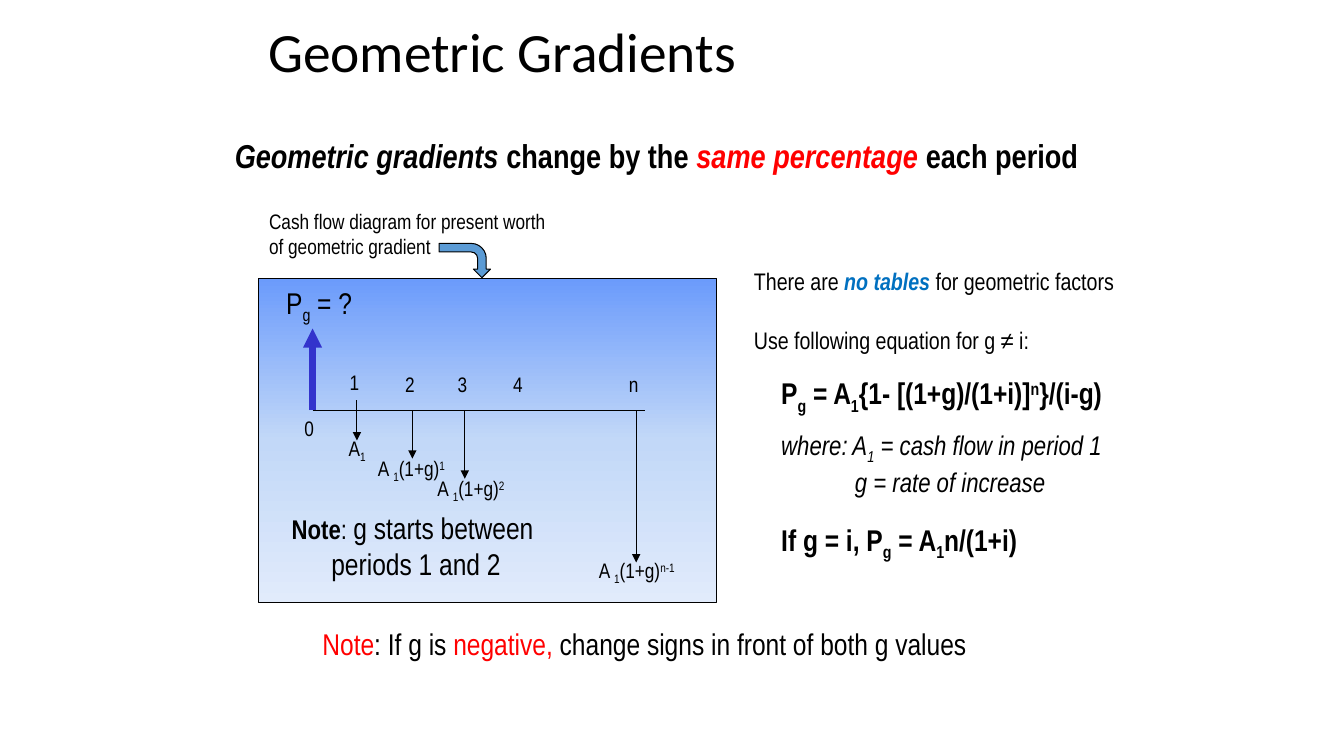
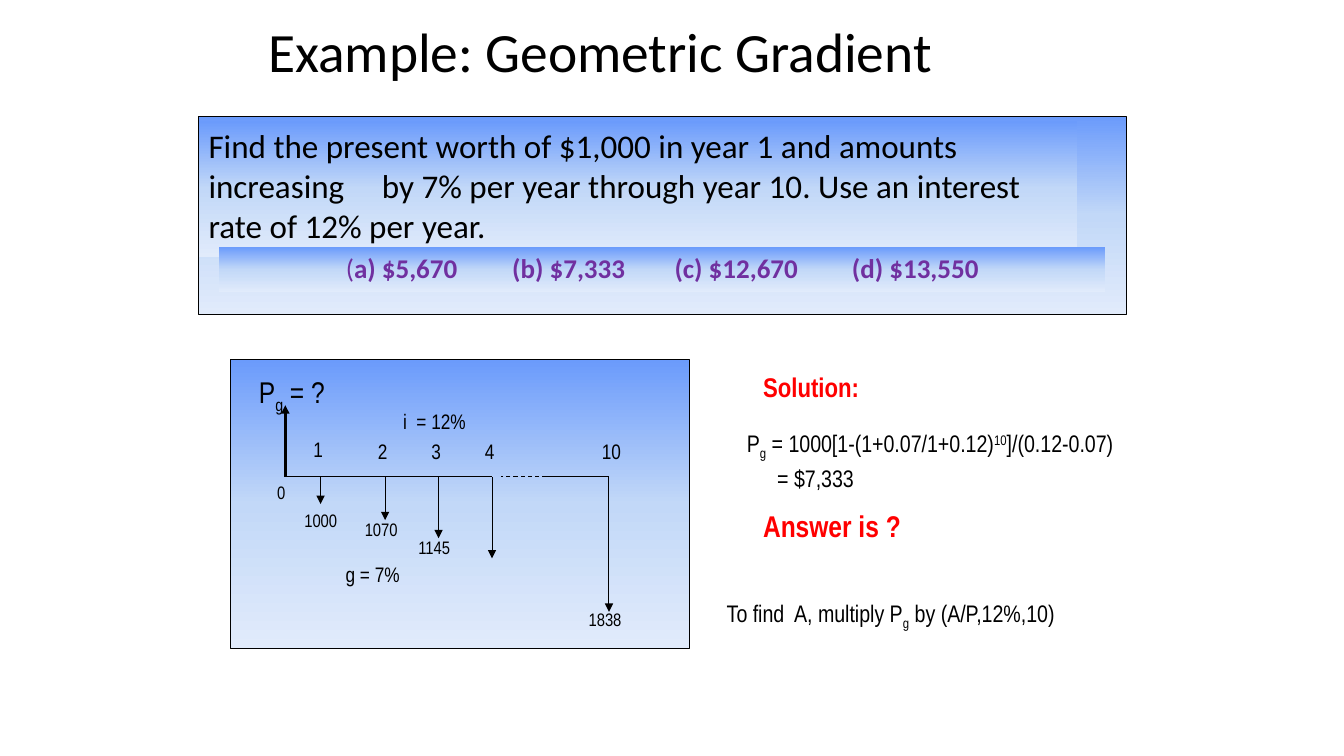
import copy
from dataclasses import dataclass

import pptx
import pptx.dml.color
import pptx.enum.dml
import pptx.enum.shapes
import pptx.enum.text
import pptx.oxml
import pptx.oxml.ns
import pptx.util

Inches = pptx.util.Inches
Pt = pptx.util.Pt
qn = pptx.oxml.ns.qn
RECT = pptx.enum.shapes.MSO_SHAPE.RECTANGLE
ALIGN = pptx.enum.text.PP_ALIGN
FIT = pptx.enum.text.MSO_AUTO_SIZE
ANCHOR = pptx.enum.text.MSO_ANCHOR


@dataclass(frozen=True)
class Theme:
    black: str = "000000"
    red: str = "FF0000"
    blue: str = "0070C0"
    purple: str = "7030A0"
    indigo: str = "3333CC"
    arrow: str = "5B9BD5"
    gradient: tuple = ((0, "6B9BFB"), (0.5, "C2D8F8"), (1, "E1EBFB"))
    heading: str = "Calibri"
    body: str = "Arial Narrow"
    title: float = 39.6
    lead: float = 23.6
    large: float = 21.4
    medium: float = 19.3
    text: float = 17.1
    label: float = 15
    small: float = 12.9
    hairline: float = 0.75


T = Theme()
SUB = {"base": -25}
SUP = {"base": 30}
PRESENT_WORTH = ["P", ("g", SUB), " = ?"]


@dataclass(frozen=True)
class Flow:
    period: str
    x: float
    drop: float = 0
    amount: tuple = ()
    amount_at: tuple = ()


def rgb(value):
    return pptx.dml.color.RGBColor.from_string(value)


def rich(p, segments, size, color=T.black, font=T.body, bold=False, italic=False):
    for segment in segments:
        text, style = (segment, {}) if isinstance(segment, str) else segment
        r = p.add_run()
        r.text = text
        r.font.name = font
        r.font.size = Pt(style.get("size", size))
        r.font.bold = style.get("bold", bold)
        r.font.italic = style.get("italic", italic)
        r.font.color.rgb = rgb(style.get("color", color))
        if "base" in style:
            r._r.get_or_add_rPr().set("baseline", str(style["base"] * 1000))


def add_tabs(p, stops):
    tabs = pptx.oxml.parse_xml(f'<a:tabLst {pptx.oxml.ns.nsdecls("a")}/>')
    for stop in stops:
        tab = tabs.makeelement(qn("a:tab"), {"pos": str(Inches(stop)), "algn": "l"})
        tabs.append(tab)
    p._p.get_or_add_pPr().append(tabs)


def add_text(s, box, *paragraphs, size=T.label, wrap=False, align=None, before=0, **style):
    sp = s.shapes.add_textbox(*map(Inches, box))
    tf = sp.text_frame
    tf.word_wrap = wrap
    tf.auto_size = FIT.SHAPE_TO_FIT_TEXT
    for i, segments in enumerate(paragraphs):
        p = tf.paragraphs[0] if i == 0 else tf.add_paragraph()
        p.alignment = align
        if i and before:
            p.space_before = Pt(before)
        rich(p, segments, size, **style)
    return tf


def add_line(s, start, end, color=T.black, width=T.hairline, arrow=False, dash=False):
    kind = pptx.enum.shapes.MSO_CONNECTOR.STRAIGHT
    sp = s.shapes.add_connector(kind, *map(Inches, (*start, *end)))
    sp.line.color.rgb = rgb(color)
    sp.line.width = Pt(width)
    if dash:
        sp.line.dash_style = pptx.enum.dml.MSO_LINE.DASH
    if arrow:
        ln = sp.line._get_or_add_ln()
        ln.append(ln.makeelement(qn("a:tailEnd"), {"type": "triangle"}))
    props = sp._element.spPr
    props.append(props.makeelement(qn("a:effectLst"), {}))


def add_panel(s, box, outline=True):
    sp = s.shapes.add_shape(RECT, *map(Inches, box))
    sp.shadow.inherit = False
    sp.fill.gradient()
    sp.fill.gradient_angle = 270
    stops = sp._element.spPr.find(".//" + qn("a:gsLst"))
    stops.insert(1, copy.deepcopy(stops[0]))
    for stop, (position, color) in zip(sp.fill.gradient_stops, T.gradient):
        stop.position = position
        stop.color.rgb = rgb(color)
    if outline:
        sp.line.color.rgb = rgb(T.black)
        sp.line.width = Pt(T.hairline)
    else:
        sp.line.fill.background()
    tf = sp.text_frame
    tf.word_wrap = True
    tf.vertical_anchor = ANCHOR.TOP
    tf.paragraphs[0].alignment = ALIGN.LEFT
    return tf


def add_slide(prs, title):
    s = prs.slides.add_slide(prs.slide_layouts[5])
    sp = s.shapes.title
    sp.left, sp.top, sp.width, sp.height = map(Inches, (2.56, 0.18, 8.2, 0.72))
    tf = sp.text_frame
    tf.text = title
    tf.auto_size = FIT.NONE
    tf.vertical_anchor = ANCHOR.MIDDLE
    p = tf.paragraphs[0]
    p.alignment = ALIGN.LEFT
    p.line_spacing = 0.9
    font = p.runs[0].font
    font.name, font.size = T.heading, Pt(T.title)
    font.color.rgb = rgb(T.black)
    return s


def cash_flow(s, box, axis, flows, segments, worth, zero_size, amount_size):
    left, top = box[:2]
    base = top + axis
    origin = left + 0.54
    worth_top, worth_length, worth_width, worth_color = worth
    add_panel(s, box)
    for start, end, dash in segments:
        add_line(s, (left + start, base), (left + end, base), dash=dash)
    add_line(s, (origin, base), (origin, base - worth_length),
             worth_color, worth_width, arrow=True)
    add_text(s, (left + 0.18, top + worth_top, 0.87, 0.46), PRESENT_WORTH, size=T.large)
    add_text(s, (left + 0.36, base, 0.3, 0.6), ["0"], size=zero_size)
    for i, flow in enumerate(flows):
        label_left = left + flow.x - 0.17
        label_top = base - (0.43 if i else 0.45)
        label_width = 0.3 if len(flow.period) == 1 else 0.39
        add_text(s, (label_left, label_top, label_width, 0.35), [flow.period])
        if flow.drop:
            x = left + flow.x
            add_line(s, (x, base), (x, base + flow.drop), arrow=True)
        if flow.amount:
            dx, dy, width = flow.amount_at
            add_text(s, (left + dx, base + dy, width, 0.35), flow.amount, size=amount_size)


def growth(power):
    return ("A ", ("1", SUB), "(1+g)", (power, SUP))


def equations(s, left, top):
    add_text(s, (left, top, 3.83, 0.97),
             ["There are ", ("no tables ", {"color": T.blue, "bold": True, "italic": True}),
              "for geometric factors"],
             ["Use following equation for g ≠ i:"], size=T.text, before=21)
    add_text(s, (left + 0.27, top + 1.07, 3.46, 0.46),
             ["P", ("g", SUB), " = A", ("1", SUB), "{1- [(1+g)/(1+i)]", ("n", SUP), "}/(i-g)"],
             size=T.large, bold=True)
    tf = add_text(s, (left + 0.27, top + 1.6, 3.41, 1.36),
                  ["where: A", ("1", SUB), " = cash flow in period 1"],
                  ["g = rate of increase"], size=T.medium, italic=True)
    tf.paragraphs[1]._p.get_or_add_pPr().set("marL", str(Inches(0.73)))
    p = tf.add_paragraph()
    p.space_before = Pt(17)
    rich(p, ["If g = i, P", ("g", SUB), " = A", ("1", SUB), "n/(1+i)"], T.large, bold=True)


def diagram_caption(s, left, top):
    add_text(s, (left, top, 3.02, 0.61),
             ["Cash flow diagram for present worth"], ["of geometric gradient"])
    sp = s.shapes.add_shape(pptx.enum.shapes.MSO_SHAPE.BENT_ARROW,
                            *map(Inches, (left + 1.87, top + 0.31, 0.34, 0.51)))
    sp.rotation = 90
    sp.shadow.inherit = False
    sp.fill.solid()
    sp.fill.fore_color.rgb = rgb(T.arrow)
    sp.line.color.rgb = rgb(T.black)
    sp.line.width = Pt(T.hairline)


def gradients_slide(prs):
    s = add_slide(prs, "Geometric Gradients")
    add_text(s, (2.23, 1.29, 8.92, 0.5),
             [("Geometric gradients", {"italic": True}), " change by the ",
              ("same percentage", {"color": T.red, "italic": True}), " each period"],
             size=T.lead, bold=True, wrap=True)
    box = left, top, _, _ = (2.56, 2.76, 4.55, 3.22)
    flows = [
        Flow("1", 0.98, 0.3, ("A", ("1", SUB)), (0.8, 0.2, 0.38)),
        Flow("2", 1.53, 0.48, growth("1"), (1.09, 0.4, 0.89)),
        Flow("3", 2.05, 0.68, growth("2"), (1.68, 0.6, 0.89)),
        Flow("4", 2.6),
        Flow("n", 3.75, 1.51, growth("n-1"), (3.28, 1.41, 0.99)),
    ]
    cash_flow(s, box, 1.31, flows, [(0.54, 3.84, False)],
              (0.01, 0.81, 4.5, T.indigo), T.label, T.label)
    add_line(s, (left + 0.98, top + 1.21), (left + 0.98, top + 1.41))
    add_text(s, (left + 0.22, top + 2.25, 2.69, 0.82),
             [("Note", {"size": T.medium, "bold": True}), (": ", {"size": T.medium}),
              "g starts between "],
             ["periods 1 and 2"], size=T.large, wrap=True, align=ALIGN.CENTER)
    diagram_caption(s, 2.57, 2.02)
    equations(s, 7.38, 2.6)
    add_text(s, (3.1, 6.16, 6.96, 0.46),
             [("Note", {"color": T.red}), ": If g is ", ("negative, ", {"color": T.red}),
              "change signs in front of both g values"], size=T.large, wrap=True)


def question(s, left, top):
    add_panel(s, (left, top, 9.2, 1.96))
    tf = add_panel(s, (left, top + 0.04, 8.71, 1.35), outline=False)
    p = tf.paragraphs[0]
    add_tabs(p, [1.72])
    rich(p, ["Find the present worth of $1,000 in year 1 and amounts increasing\tby 7% "
             "per year through year 10. Use an interest rate of 12% per year."],
         T.lead, font=T.heading)
    tf = add_panel(s, (left + 0.2, top + 1.29, 8.79, 0.45), outline=False)
    tf.margin_left = Inches(1.26)
    p = tf.paragraphs[0]
    add_tabs(p, [1.65, 3.26, 5.02])
    rich(p, [("(", {"bold": False}), "a) $5,670\t(b) $7,333\t(c) $12,670\t(d) $13,550"],
         T.medium, T.purple, T.heading, bold=True)


def solution(s, left, top):
    red = {"color": T.red, "bold": True}
    add_text(s, (left + 0.36, top, 1.16, 0.43), ["Solution:"], size=T.medium, **red)
    add_text(s, (left + 0.2, top + 0.57, 3.93, 0.39),
             ["P", ("g", SUB), " = 1000[1-(1+0.07/1+0.12)", ("10", SUP), "]/(0.12-0.07)"],
             size=T.text)
    add_text(s, (left + 0.5, top + 0.92, 0.98, 0.39), ["= $7,333"], size=T.text)
    add_text(s, (left + 0.36, top + 1.36, 1.58, 0.46), ["Answer is ?"], size=T.large, **red)
    add_text(s, (left, top + 2.26, 3.57, 0.39),
             ["To find  A, multiply P", ("g", SUB), " by (A/P,12%,10)"], size=T.text)


def example_slide(prs):
    s = add_slide(prs, "Example: Geometric Gradient")
    question(s, 1.97, 1.16)
    box = left, top, _, _ = (2.29, 3.57, 4.55, 2.86)
    flows = [
        Flow("1", 0.89, 0.27, ("1000",), (0.63, 0.27, 0.55)),
        Flow("2", 1.53, 0.43, ("1070",), (1.23, 0.36, 0.53)),
        Flow("3", 2.06, 0.61, ("1145",), (1.76, 0.54, 0.52)),
        Flow("4", 2.59, 0.81),
        Flow("10", 3.75, 1.34, ("1838",), (3.45, 1.26, 0.53)),
    ]
    axis = [(0.54, 2.59, False), (3.13, 2.68, True), (3.13, 3.75, False)]
    cash_flow(s, box, 1.16, flows, axis, (0.09, 0.71, 2, T.black), T.small, T.small)
    add_text(s, (left + 1.61, top + 0.43, 0.83, 0.35), ["i  = 12%"])
    add_text(s, (left + 1.04, top + 1.95, 0.74, 0.35), ["g = 7%"])
    solution(s, 7.11, 3.63)


def main():
    prs = pptx.Presentation()
    prs.slide_width, prs.slide_height = Inches(13.33), Inches(7.5)
    gradients_slide(prs)
    example_slide(prs)
    prs.save("out.pptx")


if __name__ == "__main__":
    main()
